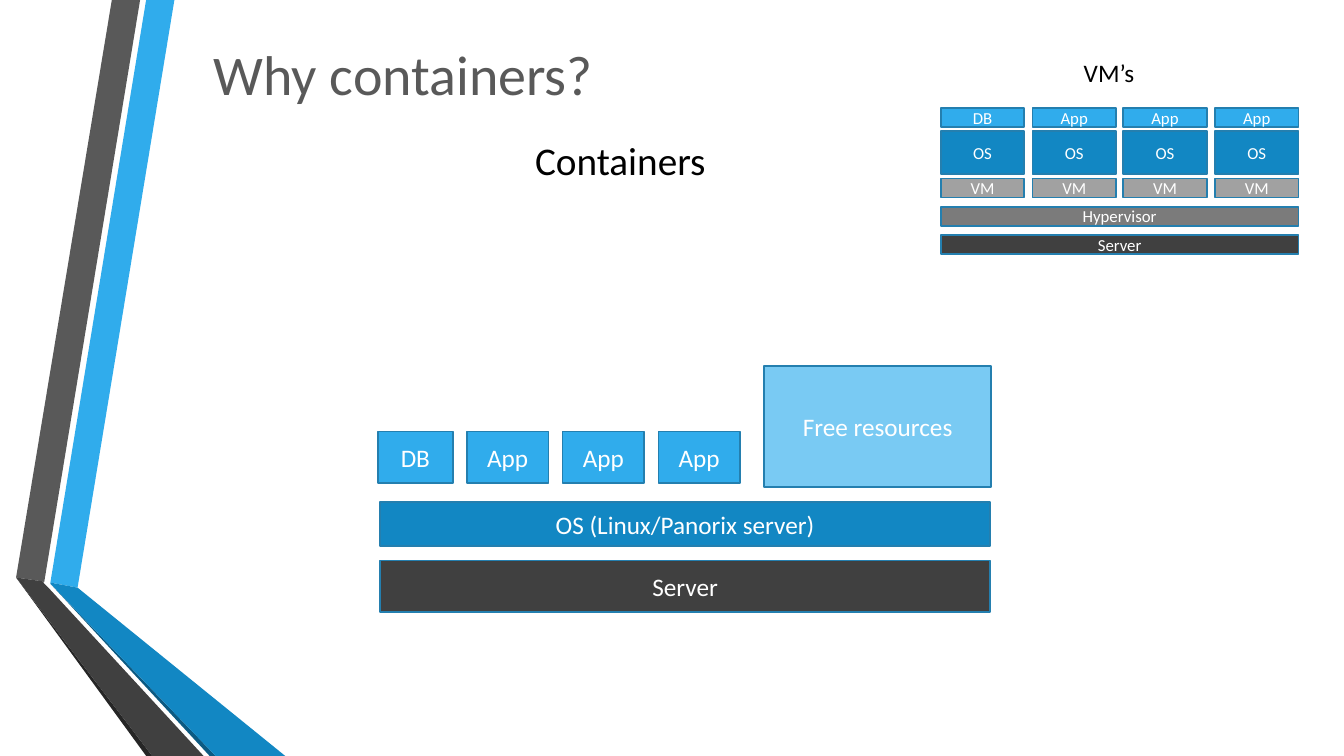
"""Build the slide that compares containers with virtual machines."""
from pptx import Presentation
from pptx.dml.color import RGBColor
from pptx.enum import text as text_enum
from pptx.enum.shapes import MSO_SHAPE
from pptx.util import Pt

PX = 9144
PAGE_SIZE = (1333, 750)
FONT = "Calibri"
COLORS = {
    "sky": "30ACEC", "pale": "79CAF3", "blue": "1287C3", "navy": "0C5A82",
    "edge": "247FAF", "black": "000000", "ink": "262626", "dark": "404040",
    "slate": "595959", "gray": "7B7B7B", "silver": "A1A1A1", "white": "FFFFFF",
}

RIBBONS = [
    ("sky", [(50, 578), (77, 583), (173, 0), (145, 0)]),
    ("slate", [(139, 0), (111, 0), (16, 573), (44, 577)]),
    ("ink", [(16, 573), (145, 750), (151, 750)]),
    ("navy", [(50, 579), (208, 750), (214, 750)]),
    ("blue", [(50, 578), (50, 579), (214, 750), (283, 750), (77, 583)]),
    ("dark", [(202, 750), (48, 583), (43, 578), (44, 577), (16, 573), (151, 750)]),
]

TITLE = ("Why containers?", (202, 28, 1063, 89))
CAPTIONS = [
    ("Containers", (521, 130, 196, 57), 28),
    ("VM’s", (1065, 52, 71, 40), 18),
]

VM_LEFT, VM_WIDTH, VM_CELL_WIDTH = 933, 355, 83
VM_ROWS = [
    (["DB", "App", "App", "App"], 107, 19, "sky"),
    (["OS"] * 4, 130, 43, "blue"),
    (["VM"] * 4, 177, 19, "silver"),
    (["Hypervisor"], 205, 19, "gray"),
    (["Server"], 233, 19, "dark"),
]

APP_LEFT, APP_STEP, APP_COUNT = 463, 95, 3
CONTAINER_BLOCKS = [
    ("Server", (377, 556, 605, 51), "dark"),
    ("OS (Linux/Panorix server)", (377, 498, 605, 44), "blue"),
    ("DB", (375, 428, 74, 51), "sky"),
    ("Free resources", (758, 363, 225, 120), "pale"),
]


def color(name):
    return RGBColor.from_string(COLORS[name])


def emu(lengths):
    return [length * PX for length in lengths]


def write(frame, text, *, size, ink, align, anchor, wrap=True):
    frame.word_wrap = wrap
    frame.auto_size = text_enum.MSO_AUTO_SIZE.NONE
    frame.vertical_anchor = anchor
    para = frame.paragraphs[0]
    para.alignment = align
    span = para.add_run()
    span.text = text
    span.font.name = FONT
    span.font.size = Pt(size)
    span.font.color.rgb = color(ink)


def add_ribbon(page, fill, points):
    builder = page.shapes.build_freeform(*points[0], scale=PX)
    builder.add_line_segments(points[1:], close=True)
    ribbon = builder.convert_to_shape()
    ribbon.shadow.inherit = False
    ribbon.fill.solid()
    ribbon.fill.fore_color.rgb = color(fill)
    ribbon.line.fill.background()


def add_block(page, text, place, fill, size):
    block = page.shapes.add_shape(MSO_SHAPE.RECTANGLE, *emu(place))
    block.shadow.inherit = False
    block.fill.solid()
    block.fill.fore_color.rgb = color(fill)
    block.line.color.rgb = color("edge")
    block.line.width = Pt(1.25)
    write(block.text_frame, text, size=size, ink="white",
          align=text_enum.PP_ALIGN.CENTER, anchor=text_enum.MSO_ANCHOR.MIDDLE)


def main():
    deck = Presentation()
    deck.slide_width, deck.slide_height = emu(PAGE_SIZE)
    page = deck.slides.add_slide(deck.slide_layouts[5])

    for fill, points in RIBBONS:
        add_ribbon(page, fill, points)

    text, place = TITLE
    title = page.shapes.title
    title.left, title.top, title.width, title.height = emu(place)
    write(title.text_frame, text, size=40, ink="slate",
          align=text_enum.PP_ALIGN.LEFT, anchor=text_enum.MSO_ANCHOR.MIDDLE)

    for text, place, size in CAPTIONS:
        box = page.shapes.add_textbox(*emu(place))
        write(box.text_frame, text, size=size, ink="black", wrap=False,
              align=text_enum.PP_ALIGN.LEFT, anchor=text_enum.MSO_ANCHOR.TOP)

    for labels, top, height, fill in VM_ROWS:
        width = VM_CELL_WIDTH if len(labels) > 1 else VM_WIDTH
        step = (VM_WIDTH - width) / max(len(labels) - 1, 1)
        for column, label in enumerate(labels):
            left = VM_LEFT + round(column * step)
            add_block(page, label, (left, top, width, height), fill, 12)

    apps = [("App", (APP_LEFT + i * APP_STEP, 428, 81, 51), "sky")
            for i in range(APP_COUNT)]
    for text, place, fill in CONTAINER_BLOCKS + apps:
        add_block(page, text, place, fill, 18)

    deck.save("out.pptx")


if __name__ == "__main__":
    main()
